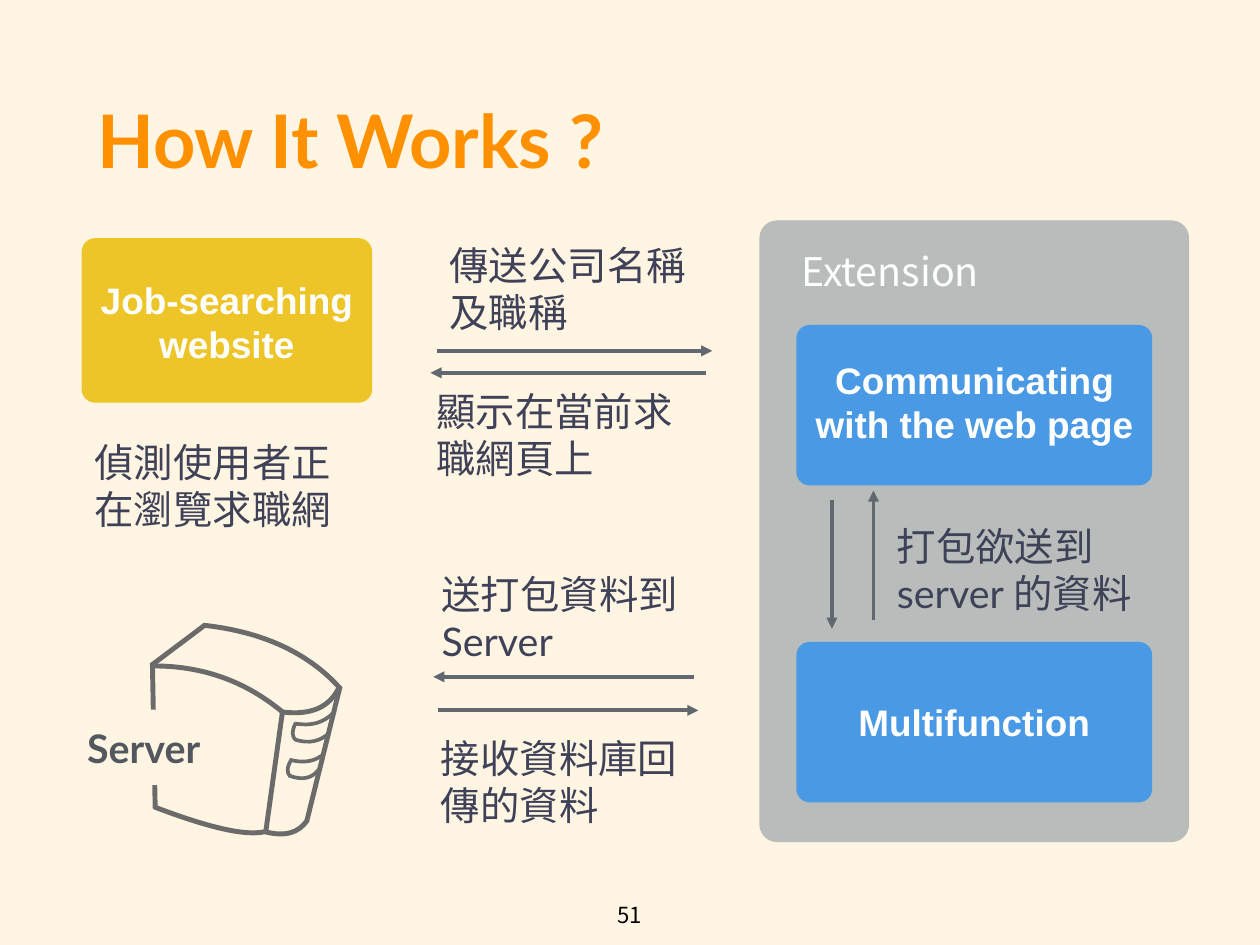
from lxml import etree
from pptx import Presentation, util as u
from pptx.dml.color import RGBColor
from pptx.enum import shapes, text
from pptx.oxml.ns import qn

CREAM, GRAY, BLUE, GOLD = "FFF5E2", "B8BCBA", "4A99E5", "EDC528"
INK, STEEL, EDGE, WHITE = "3E4157", "626870", "6B6B6B", "FFFFFF"
CJK = "Noto Sans CJK JP"
LEFT, MID = text.PP_ALIGN.LEFT, text.PP_ALIGN.CENTER
TOP, CORE = text.MSO_ANCHOR.TOP, text.MSO_ANCHOR.MIDDLE

# Left, top, width in cm, then wording
NOTES = [
    (2.57, 12.19, 7.85, "偵測使用者正在瀏覽求職網"),
    (12.75, 6.54, 7.47, "傳送公司名稱及職稱"),
    (12.37, 10.72, 7.85, "顯示在當前求職網頁上"),
    (12.52, 15.98, 7.82, "送打包資料到 Server"),
    (12.5, 20.69, 7.85, "接收資料庫回傳的資料"),
    (25.57, 14.59, 8.33, "打包欲送到server 的資料"),
]

# Start and tip in cm
ARROWS = [
    (12.52, 10.06, 20.42, 10.06),
    (20.24, 10.69, 12.34, 10.69),
    (19.89, 19.41, 12.42, 19.41),
    (12.55, 20.37, 20.02, 20.37),
    (23.85, 18.03 - 3.7, 23.85, 18.03),
    (25.04, 17.78, 25.04, 14.07),
]

# Strokes of the server in cm: two points are straight, four are a cubic curve
BODY = [
    [(5.82, 17.93), (7.52, 18.11), (8.84, 18.72), (9.75, 19.74)],
    [(4.34, 19.1), (5.74, 19.08), (7.01, 19.51), (8.1, 20.42)],
    [(4.45, 23.19), (4.37, 19.02)],
    [(7.62, 23.85), (8.1, 20.4)],
    [(4.42, 23.14), (6.02, 23.75), (7.06, 23.98), (7.59, 23.85)],
    [(4.34, 19.08), (5.87, 17.93)],
    [(8.1, 20.42), (8.94, 20.52), (9.47, 20.27), (9.73, 19.69)],
    [(8.79, 23.57), (9.75, 19.69)],
    [(7.59, 23.85), (8.15, 24), (8.56, 23.9), (8.81, 23.52)],
]
SLOTS = [
    [(8.46, 20.75), (8.92, 20.83), (9.27, 20.73), (9.55, 20.45)],
    [(8.48, 21.23), (8.36, 21.11), (8.36, 20.96), (8.48, 20.73)],
    [(8.46, 21.21), (8.86, 21.34), (9.19, 21.26), (9.45, 21.01)],
    [(8.31, 21.79), (8.69, 21.89), (8.99, 21.84), (9.22, 21.67)],
    [(8.33, 22.28), (8.2, 22.15), (8.23, 22), (8.36, 21.77)],
    [(8.31, 22.25), (8.66, 22.38), (8.94, 22.33), (9.14, 22.07)],
]


def paint(form, hue):
    """Give a fill, line or font one solid colour."""
    if hasattr(form, "solid"):
        form.solid()
        form = form.fore_color
    else:
        form = form.color
    form.rgb = RGBColor.from_string(hue)


def write(shape, words, size, hue, face="Lato", bold=False, align=LEFT, anchor=CORE):
    frame = shape.text_frame
    frame.word_wrap = True
    frame.vertical_anchor = anchor
    for side in ("left", "right", "top", "bottom"):
        setattr(frame, "margin_" + side, u.Cm(0.14))
    para = frame.paragraphs[0]
    para.alignment = align
    run = para.add_run()
    run.text = words
    font = run.font
    font.name, font.size, font.bold = face, u.Pt(size), bold
    paint(font, hue)
    ea = etree.SubElement(run._r.get_or_add_rPr(), qn("a:ea"))
    ea.set("typeface", CJK)
    return para


def label(slide, box, words, size, hue, **style):
    shape = slide.shapes.add_textbox(*map(u.Cm, box))
    return write(shape, words, size, hue, **style)


def card(slide, box, hue, curve=0.0):
    """Add a plain block, rounded when curve is given."""
    kinds = shapes.MSO_SHAPE
    kind = kinds.ROUNDED_RECTANGLE if curve else kinds.RECTANGLE
    shape = slide.shapes.add_shape(kind, *map(u.Cm, box))
    if curve:
        shape.adjustments[0] = curve
    shape.shadow.inherit = False
    paint(shape.fill, hue)
    shape.line.fill.background()
    return shape


def topic(slide, box, hue, area, words):
    """Add a rounded card with its caption in the given area."""
    card(slide, box, hue, 0.083)
    label(slide, area, words, 30, WHITE, face="Arial", bold=True, align=MID)


def arrow(slide, ends):
    kind = shapes.MSO_CONNECTOR.STRAIGHT
    link = slide.shapes.add_connector(kind, *map(u.Cm, ends))
    paint(link.line, STEEL)
    link.line.width = u.Pt(3)
    tip = etree.SubElement(link.line._get_or_add_ln(), qn("a:tailEnd"))
    tip.set("type", "triangle")
    etree.SubElement(link._element.spPr, qn("a:effectLst"))


def stroke(slide, knots, width):
    """Draw an open line; four knots are bent into one cubic curve."""
    spots = [tuple(map(u.Cm, knot)) for knot in knots]
    pen = slide.shapes.build_freeform(*spots[0])
    pen.add_line_segments(spots[1:], close=False)
    shape = pen.convert_to_shape()
    if len(knots) == 4:
        track = shape._element.spPr.find(".//" + qn("a:path"))
        bend = etree.SubElement(track, qn("a:cubicBezTo"))
        for leg in track.findall(qn("a:lnTo")):
            bend.append(leg[0])
            track.remove(leg)
    shape.shadow.inherit = False
    shape.fill.background()
    paint(shape.line, EDGE)
    shape.line.width = u.Pt(width)


def server(slide):
    for group, width in ((BODY, 4), (SLOTS, 3)):
        for knots in group:
            stroke(slide, knots, width)
    plate = card(slide, (2.36, 20.35, 4.57, 2.16), CREAM)
    write(plate, "Server", 32, "53585F", bold=True)


def main():
    deck = Presentation()
    deck.slide_width, deck.slide_height = u.Cm(36.12), u.Cm(27.1)
    slide = deck.slides.add_slide(deck.slide_layouts[6])
    paint(slide.background.fill, CREAM)

    title = label(slide, (2.65, 1.24, 30.84, 5.99), "How It Works ?", 60,
                  "FF9000", bold=True)
    title.line_spacing = 0.8
    topic(slide, (2.34, 6.83, 8.33, 4.72), GOLD,
          (2.34, 7.37, 8.33, 3.71), "Job-searching website")
    server(slide)

    card(slide, (21.77, 6.32, 12.32, 17.83), GRAY, 0.041)
    label(slide, (22.83, 7.06, 6.25, 1.42), "Extension", 32, WHITE, face=CJK)
    topic(slide, (22.83, 9.32, 10.2, 4.6), BLUE,
          (22.94, 9.42, 10, 4.19), "Communicating with the web page")
    topic(slide, (22.83, 18.41, 10.2, 4.6), BLUE,
          (22.83, 18.95, 10.2, 3.5), "Multifunction")

    for left, top, width, words in NOTES:
        label(slide, (left, top, width, 3.45), words, 32, INK)
    for ends in ARROWS:
        arrow(slide, ends)
    label(slide, (17.48, 25.7, 1.14, 0.91), "51", 18, "000000", face=CJK,
          align=MID, anchor=TOP)
    deck.save("out.pptx")


if __name__ == "__main__":
    main()
